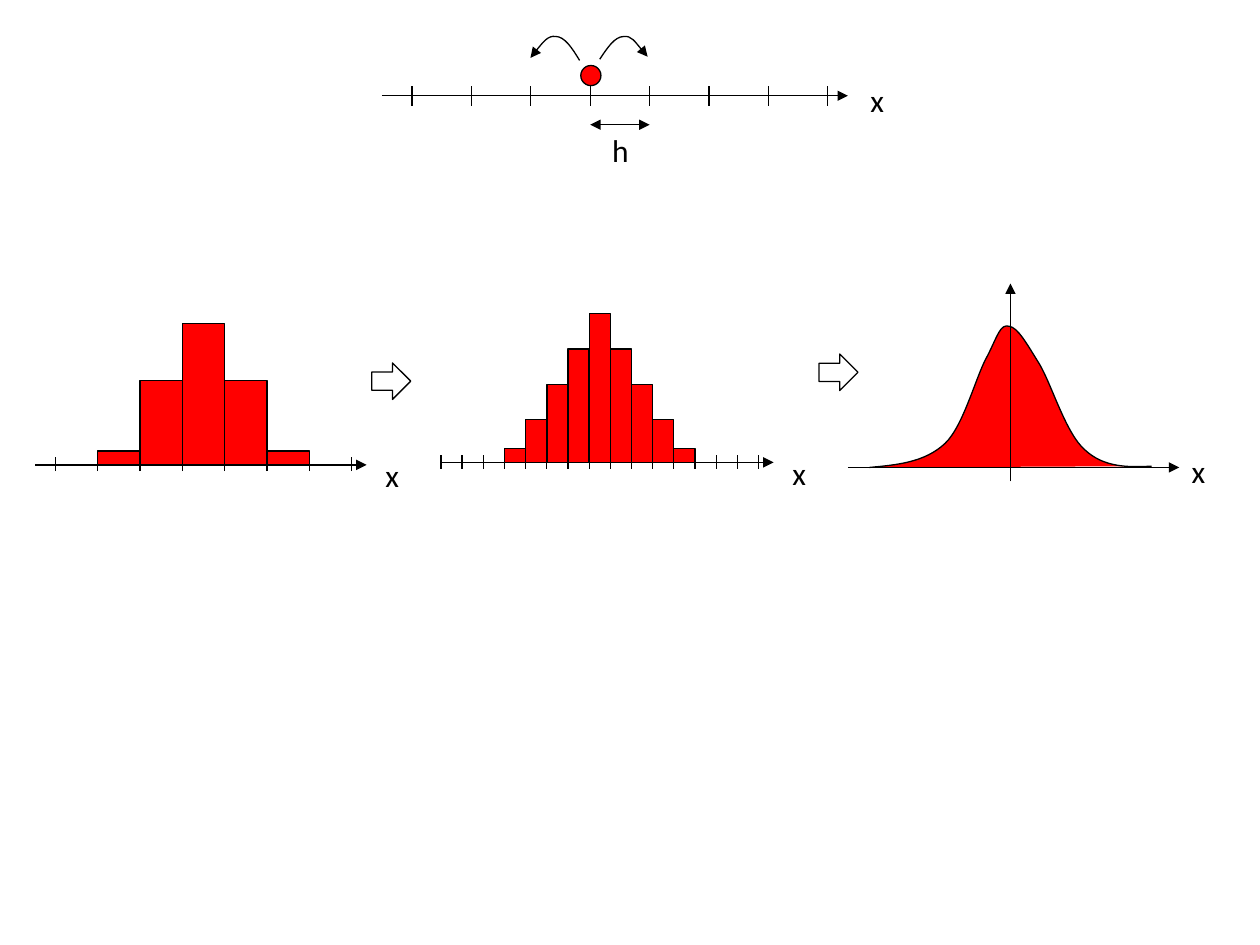
from dataclasses import dataclass

from lxml import etree
from pptx import Presentation
from pptx.dml.color import RGBColor
from pptx.enum.shapes import MSO_CONNECTOR, MSO_SHAPE
from pptx.enum.text import MSO_AUTO_SIZE
from pptx.oxml.ns import qn
from pptx.util import Inches, Pt

STRAIGHT = MSO_CONNECTOR.STRAIGHT
RECT, OVAL, ARROW = MSO_SHAPE.RECTANGLE, MSO_SHAPE.OVAL, MSO_SHAPE.RIGHT_ARROW
FIT_SHAPE = MSO_AUTO_SIZE.SHAPE_TO_FIT_TEXT
COLORS = {"ink": "000000", "fill": "FF0000"}
FONT = "Calibri"
Point = tuple[float, float]


@dataclass
class Axis:
    start: float
    end: float
    y: float
    first_tick: float
    last_tick: float
    ticks: int
    above: float
    below: float

    @property
    def step(self) -> float:
        return (self.last_tick - self.first_tick) / (self.ticks - 1)

    def tick(self, i: int) -> float:
        return self.first_tick + i * self.step


@dataclass
class Histogram:
    axis: Axis
    first_bar: int
    heights: list[float]
    label: Point


def color(name: str) -> RGBColor:
    return RGBColor.from_string(COLORS[name])


def style_line(sp, *ends: str) -> None:
    """Thin ink line, with a triangle at each named end."""
    sp.line.color.rgb = color("ink")
    sp.line.width = Pt(0.75)
    for end in ends:
        etree.SubElement(sp.line._get_or_add_ln(), qn(f"a:{end}"), type="triangle")


def style_shape(sp, filled: bool, *ends: str) -> None:
    sp.shadow.inherit = False
    if filled:
        sp.fill.solid()
        sp.fill.fore_color.rgb = color("fill")
    else:
        sp.fill.background()
    style_line(sp, *ends)


def add_line(shapes, start: Point, end: Point, *ends: str) -> None:
    sp = shapes.add_connector(STRAIGHT, *(Inches(v) for v in start + end))
    style_line(sp, *ends)
    etree.SubElement(sp._element.spPr, qn("a:effectLst"))


def add_shape(shapes, kind, x: float, y: float, w: float, h: float,
              filled: bool = True) -> None:
    sp = shapes.add_shape(kind, Inches(x), Inches(y), Inches(w), Inches(h))
    style_shape(sp, filled)


def add_label(shapes, text: str, x: float, y: float, w: float, h: float) -> None:
    tf = shapes.add_textbox(Inches(x), Inches(y), Inches(w), Inches(h)).text_frame
    tf.word_wrap = True
    tf.auto_size = FIT_SHAPE
    r = tf.paragraphs[0].add_run()
    r.text = text
    r.font.name = FONT
    r.font.size = Pt(18)
    r.font.color.rgb = color("ink")


def add_curve(shapes, points: list[Point], filled: bool, *ends: str) -> None:
    """Cubic curve: a start point, then two controls and an end per segment."""
    start, *rest = [(Inches(x), Inches(y)) for x, y in points]
    builder = shapes.build_freeform(*start)
    builder.add_line_segments(rest, close=False)
    sp = builder.convert_to_shape()
    # Turn every three straight segments into one Bezier segment
    lines = list(sp._element.iter(qn("a:lnTo")))
    for i in range(0, len(lines), 3):
        bezier = etree.SubElement(lines[i].getparent(), qn("a:cubicBezTo"))
        for line in lines[i:i + 3]:
            bezier.append(line[0])
            line.getparent().remove(line)
    style_shape(sp, filled, *ends)


def add_axis(shapes, axis: Axis) -> None:
    add_line(shapes, (axis.start, axis.y), (axis.end, axis.y), "tailEnd")
    for i in range(axis.ticks):
        x = axis.tick(i)
        add_line(shapes, (x, axis.y + axis.below), (x, axis.y - axis.above))


def add_histogram(shapes, hist: Histogram) -> None:
    axis = hist.axis
    add_axis(shapes, axis)
    add_label(shapes, "x", *hist.label, 0.22, 0.29)
    for i, height in enumerate(hist.heights, hist.first_bar):
        add_shape(shapes, RECT, axis.tick(i), axis.y - height, axis.step, height)


WALK_AXIS = Axis(3.03, 6.73, 0.76, 3.27, 6.57, 8, 0.08, 0.08)
JUMPS = [
    [(4.76, 0.47), (4.82, 0.38), (4.88, 0.29), (4.95, 0.29),
     (5.01, 0.28), (5.07, 0.37), (5.14, 0.45)],
    [(4.6, 0.48), (4.54, 0.38), (4.48, 0.29), (4.41, 0.29),
     (4.35, 0.28), (4.28, 0.37), (4.21, 0.46)],
]
HISTOGRAMS = [
    Histogram(Axis(0.28, 2.91, 3.69, 0.44, 2.79, 8, 0.06, 0.05), 1,
              [0.11, 0.67, 1.12, 0.67, 0.11], (2.96, 3.57)),
    Histogram(Axis(3.5, 6.14, 3.67, 3.5, 6.02, 16, 0.06, 0.05), 3,
              [0.11, 0.34, 0.62, 0.9, 1.18, 0.9, 0.62, 0.34, 0.11], (6.19, 3.55)),
]
BELL = [
    (6.9, 3.71), (7.12, 3.69), (7.34, 3.67), (7.5, 3.52),
    (7.65, 3.38), (7.75, 2.97), (7.84, 2.82),
    (7.92, 2.66), (7.94, 2.57), (8.01, 2.59),
    (8.08, 2.6), (8.15, 2.73), (8.25, 2.89),
    (8.35, 3.06), (8.46, 3.44), (8.61, 3.57),
    (8.76, 3.71), (8.95, 3.71), (9.14, 3.7),
]
ARROWS = [(2.95, 2.88), (6.5, 2.81)]


def main() -> None:
    prs = Presentation()
    prs.slide_width, prs.slide_height = Inches(10), Inches(7.5)
    shapes = prs.slides.add_slide(prs.slide_layouts[6]).shapes

    # Random walk on a grid of spacing h
    add_axis(shapes, WALK_AXIS)
    add_shape(shapes, OVAL, 4.61, 0.52, 0.16, 0.16)
    for jump in JUMPS:
        add_curve(shapes, jump, False, "tailEnd")
    add_line(shapes, (WALK_AXIS.tick(3), 0.99), (WALK_AXIS.tick(4), 0.99),
             "headEnd", "tailEnd")
    add_label(shapes, "h", 4.76, 0.99, 0.34, 0.4)
    add_label(shapes, "x", 6.81, 0.59, 0.31, 0.4)

    # Coarse and fine histograms
    for hist in HISTOGRAMS:
        add_histogram(shapes.add_group_shape().shapes, hist)

    # Limiting bell curve
    bell = shapes.add_group_shape().shapes
    add_curve(bell, BELL, True)
    add_line(bell, (6.73, 3.71), (9.36, 3.71), "tailEnd")
    add_label(bell, "x", 9.36, 3.54, 0.22, 0.29)
    add_line(bell, (8.02, 3.82), (8.02, 2.25), "tailEnd")

    # Block arrows between the stages
    for x, y in ARROWS:
        add_shape(shapes, ARROW, x, y, 0.31, 0.29, filled=False)

    prs.save("out.pptx")


if __name__ == "__main__":
    main()
